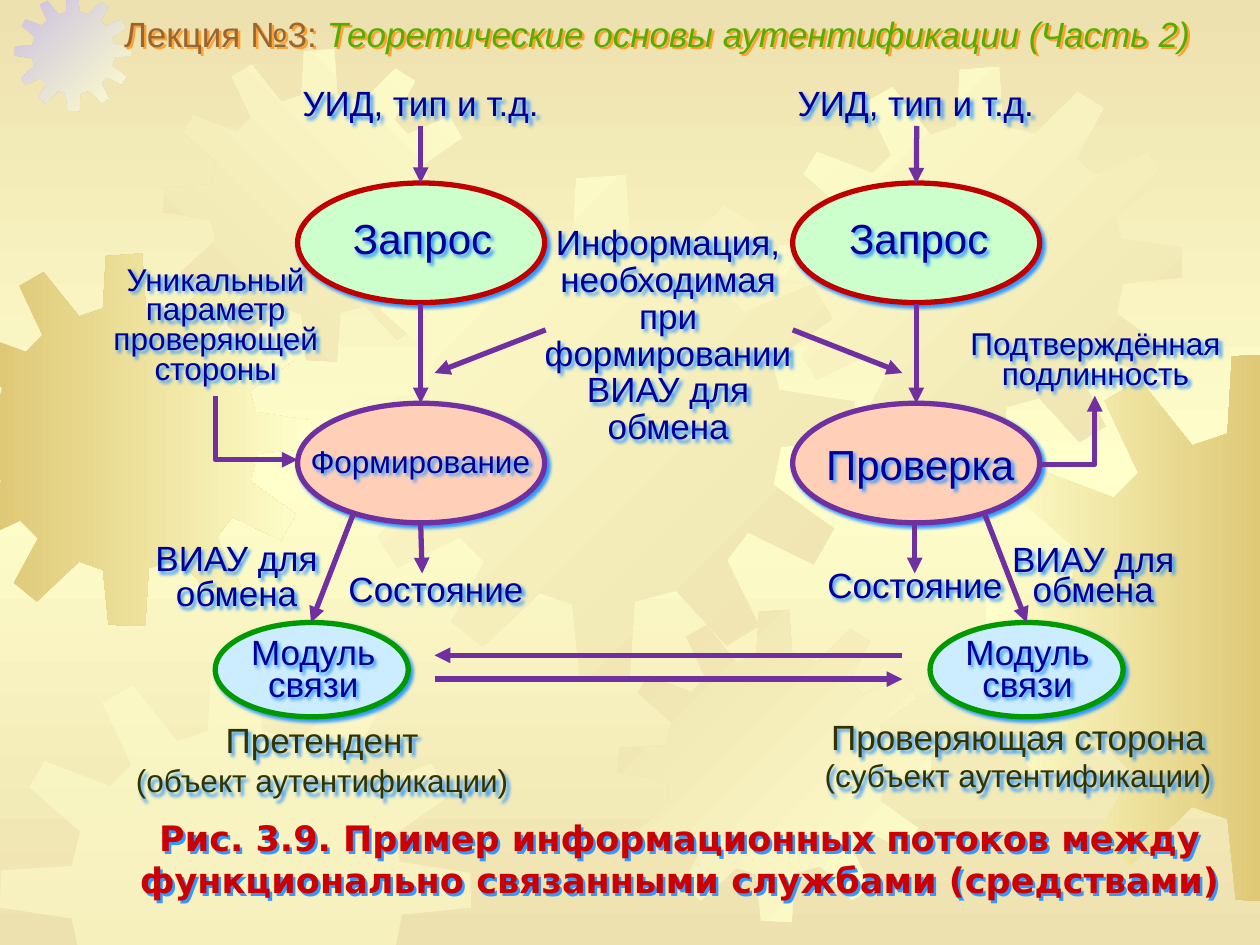
from lxml import etree
from copy import deepcopy
from pptx import Presentation
from pptx.dml.color import RGBColor
from pptx.enum.shapes import MSO_CONNECTOR, MSO_SHAPE
from pptx.enum.text import MSO_ANCHOR, MSO_AUTO_SIZE, PP_ALIGN
from pptx.oxml import parse_xml
from pptx.oxml.ns import nsdecls, qn
from pptx.util import Cm, Pt

COLORS = {"sand": "EDE1AF", "cream": "FFFFCC", "gold": "DFC977", "lilac": "CAC0E2",
          "purple": "7030A0", "red": "C00000", "green": "009900", "mint": "CCFFCC",
          "peach": "FFCFB8", "ice": "CCECFF", "navy": "000099", "olive": "333300",
          "caption": "CC0000", "brown": "996633", "leaf": "56AC00",
          "glow": "3399FF", "orange": "FFA030"}
WIDTH, HEIGHT = 25.4, 19.05

# Gear outline in percent of its size
GEAR = [(63.6, 16.7), (55.6, 14.7), (54.6, 0), (44.9, 0.7), (44.1, 14.7), (37.7, 16.9),
        (28.2, 5), (21.7, 8.7), (27.9, 21.9), (23.4, 26.4), (9.5, 21.1), (6.2, 26.6),
        (17, 36.1), (15.2, 43.3), (0.2, 44.3), (0, 52.2), (15.2, 54.5), (16.7, 61.2),
        (5.5, 71.4), (9.5, 77.6), (21.9, 71.6), (26.7, 76.4), (20.2, 88.3), (26.4, 93.3),
        (37.7, 82.6), (44.1, 84.8), (45.6, 99.5), (55.4, 100), (56.4, 84.3), (64.6, 82.1),
        (74.6, 93), (81, 89.1), (74.6, 76.1), (78.8, 70.6), (91.8, 76.9), (95.8, 69.9),
        (83.8, 61.2), (85.3, 53.7), (100, 52.2), (99.8, 44.8), (85, 42.5), (83.5, 36.8),
        (95.5, 28.4), (91.5, 21.6), (78.1, 27.1), (73.8, 22.6), (80.5, 10.2), (74.1, 6.2)]
# Left, top, size, first colour, last colour, clockwise angle (None: half-clear fill)
GEARS = [(-1.24, 5.11, 7.52, "gold", "cream", 0),
         (0.3, -0.1, 2.34, "lilac", "cream", 45),
         (3.3, 0.99, 6.3, "sand", "cream", 315),
         (7.04, 3.53, 10.2, "cream", "sand", 45),
         (0, 13.34, 9.5, "cream", "cream", None),
         (12.47, 12.29, 6.3, "sand", "cream", 45),
         (15.7, 1.35, 8.13, "cream", "sand", 45),
         (19.86, 7.11, 11.08, "cream", "gold", 0)]

BIG, SMALL = (4.98, 2.41), (3.89, 1.9)
ELLIPSES = [(6, 3.69, BIG, "mint", "red"), (15.98, 3.69, BIG, "mint", "red"),
            (6, 8.13, BIG, "peach", "purple"), (15.98, 8.13, BIG, "peach", "purple"),
            (4.34, 12.55, SMALL, "ice", "green"), (18.75, 12.55, SMALL, "ice", "green")]

ARROWS = [(8.48, 2.54, 8.48, 3.69), (18.48, 2.54, 18.47, 3.7),
          (8.48, 6.12, 8.48, 8.13), (18.47, 6.12, 18.47, 8.13),
          (7.11, 10.39, 6.27, 12.55), (19.86, 10.39, 20.7, 12.55),
          (11, 6.65, 8.76, 7.52), (15.98, 6.65, 18.19, 7.52),
          (8.48, 10.54, 8.51, 11.56), (18.44, 10.54, 18.44, 11.56),
          (18.19, 13.21, 8.76, 13.21), (8.76, 13.69, 18.19, 13.69)]
# Elbows run sideways first; the arrowhead sits at the named end
ELBOWS = [(6, 9.27, 4.34, 7.98, "headEnd"), (20.98, 9.37, 22.07, 7.98, "tailEnd")]

TIGHT = 0.72
# Left, top, width, height, line spacing, colour, (text, size) lines
LABELS = [
    (2.57, 14.53, 7.85, 1.6, Pt(22), "olive",
     [("Претендент", 20), ("(объект аутентификации)", 18)]),
    (16.26, 14.53, 8.53, 1.48, Pt(21), "olive",
     [("Проверяющая сторона", 20), ("(субъект аутентификации)", 18)]),
    (6.73, 4.42, 3.58, 0.97, TIGHT, "navy", [("Запрос", 24)]),
    (16.64, 4.42, 3.76, 0.97, TIGHT, "navy", [("Запрос", 24)]),
    (6, 8.79, 4.95, 1.19, TIGHT, "navy", [("Формирование", 18)]),
    (16.05, 8.97, 5, 0.99, TIGHT, "navy", [("Проверка", 24)]),
    (10.69, 4.8, 5.56, 3.96, Pt(21), "navy",
     [("Информация,", 20), ("необходимая при", 20), ("формировании", 20),
      ("ВИАУ для обмена", 20)]),
    (5.89, 1.75, 5.18, 0.79, Pt(20), "navy", [("УИД, тип и т.д.", 20)]),
    (16, 1.75, 4.93, 0.79, Pt(20), "navy", [("УИД, тип и т.д.", 20)]),
    (6.91, 11.35, 3.76, 1.24, TIGHT, "navy", [("Состояние", 20)]),
    (16.64, 11.35, 3.61, 1.07, TIGHT, "navy", [("Состояние", 20)]),
    (1.96, 5.21, 4.78, 2.77, Pt(17), "navy",
     [("Уникальный параметр", 18), ("проверяющей стороны", 18)]),
    (4.93, 12.85, 2.77, 1.42, Pt(18), "navy", [("Модуль", 20), ("связи", 20)]),
    (19.33, 12.85, 2.77, 1.42, Pt(18), "navy", [("Модуль", 20), ("связи", 20)]),
    (2.74, 10.97, 4.06, 1.4, Pt(20), "navy", [("ВИАУ для обмена", 20)]),
    (20.02, 10.77, 4.04, 1.78, TIGHT, "navy", [("ВИАУ для обмена", 20)]),
    (19.43, 6.6, 5.31, 1.4, Pt(17), "navy",
     [("Подтверждённая", 18), ("подлинность", 18)]),
]
CAPTION = ("Рис. 3.9. Пример информационных потоков между "
           "функционально связанными службами (средствами)")
TITLE = [("Лекция №3: ", "brown", False),
         ("Теоретические основы аутентификации (Часть 2)", "leaf", True)]


def rgb(name):
    return RGBColor.from_string(COLORS[name])


def add_shadow(shape, color="glow", blur=2):
    shape.shadow.inherit = False
    effects = shape.element.spPr.find(qn("a:effectLst"))
    effects.append(parse_xml(
        f'<a:outerShdw {nsdecls("a")} blurRad="{Pt(blur)}" dist="{Pt(2)}" dir="2700000" '
        f'algn="ctr" rotWithShape="0"><a:srgbClr val="{COLORS[color]}"/></a:outerShdw>'))


def set_gradient(fill, first, last, angle):
    fill.gradient()
    fill.gradient_angle = (360 - angle) % 360
    for stop, name, position in zip(fill.gradient_stops, (first, last), (0, 1)):
        stop.color.rgb = rgb(name)
        stop.position = position


def clip(points, axis, limit, side):
    """Cut a polygon at a slide edge; side is 1 to keep larger values, -1 smaller."""
    kept = []
    for start, end in zip(points, points[1:] + points[:1]):
        before, after = side * (start[axis] - limit), side * (end[axis] - limit)
        if before >= 0:
            kept.append(start)
        if before * after < 0:
            share = before / (before - after)
            kept.append(tuple(a + share * (b - a) for a, b in zip(start, end)))
    return kept


def add_gear(page, left, top, size, first, last, angle):
    points = [(left + x * size / 100, top + y * size / 100) for x, y in GEAR]
    for axis, limit, side in ((0, 0, 1), (0, WIDTH, -1), (1, 0, 1), (1, HEIGHT, -1)):
        points = clip(points, axis, limit, side)
    points = [(Cm(x), Cm(y)) for x, y in points]
    builder = page.shapes.build_freeform(*points[0])
    builder.add_line_segments(points[1:], close=True)
    gear = builder.convert_to_shape()
    gear.shadow.inherit = False
    gear.line.fill.background()
    if angle is None:
        gear.fill.solid()
        gear.fill.fore_color.rgb = rgb(first)
        color = gear.element.spPr.find(".//" + qn("a:srgbClr"))
        etree.SubElement(color, qn("a:alpha")).set("val", "50000")
    else:
        set_gradient(gear.fill, first, last, angle)


def add_arrow(page, x1, y1, x2, y2, end="tailEnd", preset=None):
    arrow = page.shapes.add_connector(MSO_CONNECTOR.STRAIGHT, Cm(x1), Cm(y1), Cm(x2), Cm(y2))
    arrow.line.color.rgb = rgb("purple")
    arrow.line.width = Pt(3)
    etree.SubElement(arrow.line._get_or_add_ln(), qn("a:" + end)).set("type", "triangle")
    properties = arrow.element.spPr
    etree.SubElement(properties, qn("a:effectLst"))
    if preset:
        properties.find(qn("a:prstGeom")).set("prst", preset)


def format_frame(frame):
    frame.word_wrap = True
    frame.auto_size = MSO_AUTO_SIZE.NONE
    frame.vertical_anchor = MSO_ANCHOR.MIDDLE
    frame.margin_left = frame.margin_right = frame.margin_top = frame.margin_bottom = 0


def format_font(font, face, size, color, bold=False, italic=False):
    font.name, font.size, font.bold, font.italic = face, Pt(size), bold, italic
    font.color.rgb = rgb(color)


def add_label(page, left, top, width, height, spacing, color, lines,
              face="Arial", bold=False, blur=2):
    box = page.shapes.add_textbox(Cm(left), Cm(top), Cm(width), Cm(height))
    add_shadow(box, blur=blur)
    frame = box.text_frame
    frame.text = "\n".join(text for text, size in lines)
    format_frame(frame)
    for paragraph, (text, size) in zip(frame.paragraphs, lines):
        paragraph.alignment = PP_ALIGN.CENTER
        paragraph.line_spacing = spacing
        if spacing == TIGHT:
            paragraph.space_after = Pt(10)
        format_font(paragraph.runs[0].font, face, size, color, bold)


def main():
    deck = Presentation()
    deck.slide_width, deck.slide_height = Cm(WIDTH), Cm(HEIGHT)
    page = deck.slides.add_slide(deck.slide_layouts[5])

    # Background: light band across the middle
    set_gradient(page.background.fill, "sand", "cream", 90)
    stops = page.element.find(".//" + qn("a:gsLst"))
    stops.append(deepcopy(stops[0]))
    stops[1].set("pos", "50000")
    stops[2].set("pos", "100000")
    for gear in GEARS:
        add_gear(page, *gear)

    # Title, in front of the gears
    title = page.shapes.title
    title.element.getparent().append(title.element)
    title.left, title.top, title.width, title.height = Cm(2.5), Cm(0.33), Cm(22.7), Cm(0.79)
    add_shadow(title, "orange", 0)
    format_frame(title.text_frame)
    paragraph = title.text_frame.paragraphs[0]
    paragraph.alignment = PP_ALIGN.LEFT
    paragraph.line_spacing = 0.9
    for text, color, italic in TITLE:
        span = paragraph.add_run()
        span.text = text
        format_font(span.font, "Arial", 20, color, italic=italic)

    # Flow diagram
    for left, top, (width, height), fill, line in ELLIPSES:
        oval = page.shapes.add_shape(MSO_SHAPE.OVAL, Cm(left), Cm(top), Cm(width), Cm(height))
        oval.fill.solid()
        oval.fill.fore_color.rgb = rgb(fill)
        oval.line.color.rgb = rgb(line)
        oval.line.width = Pt(3)
        add_shadow(oval)
    for arrow in ARROWS:
        add_arrow(page, *arrow)
    for elbow in ELBOWS:
        add_arrow(page, *elbow, preset="bentConnector2")
    for label in LABELS:
        add_label(page, *label)

    # Caption
    add_label(page, 2.59, 16.46, 22.23, 1.7, 1.0, "caption", [(CAPTION, 20)],
              "DejaVu Sans", True, 0)
    deck.save("out.pptx")


if __name__ == "__main__":
    main()
